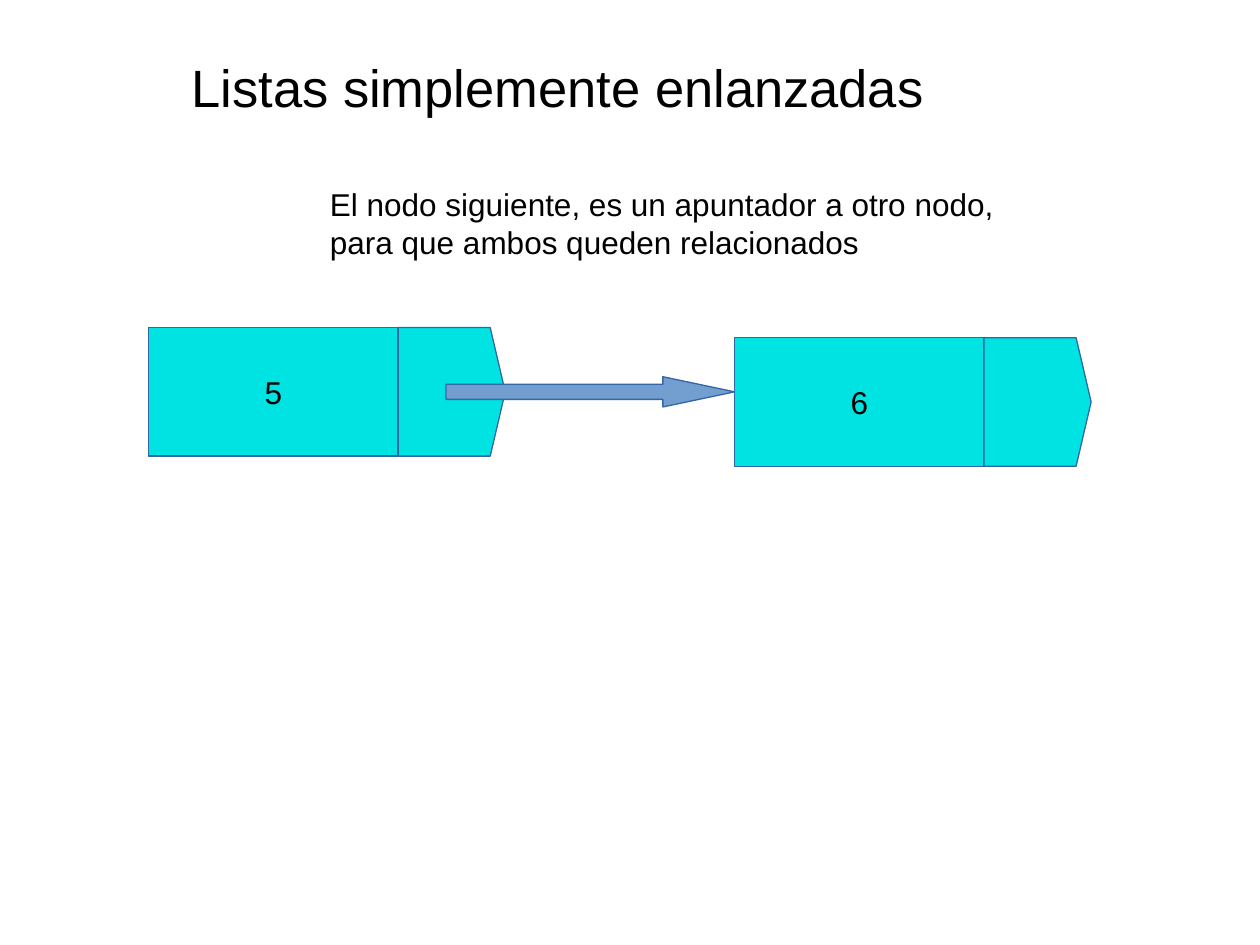
from pptx import Presentation
from pptx.dml.color import RGBColor
from pptx.enum.shapes import MSO_SHAPE
from pptx.enum.text import MSO_ANCHOR, MSO_AUTO_SIZE, PP_ALIGN
from pptx.util import Inches, Pt

VALUE = MSO_SHAPE.FLOWCHART_PROCESS
NEXT = MSO_SHAPE.PENTAGON
ARROW = MSO_SHAPE.RIGHT_ARROW
TOP, MIDDLE = MSO_ANCHOR.TOP, MSO_ANCHOR.MIDDLE
LEFT, CENTER = PP_ALIGN.LEFT, PP_ALIGN.CENTER
FIXED = MSO_AUTO_SIZE.NONE

CYAN, BLUE, EDGE, BLACK = "00E3E3", "729FCF", "3465A4", "000000"
NODE_W, NODE_H, VALUE_W = 2.83, 1.02, 1.98


def color(code):
    return RGBColor.from_string(code)


def write(shape, text, size, align=LEFT, anchor=TOP, wrap=True):
    frame = shape.text_frame
    frame.auto_size = FIXED
    frame.word_wrap = wrap
    frame.vertical_anchor = anchor
    para = frame.paragraphs[0]
    para.alignment = align
    run = para.add_run()
    run.text = text
    run.font.name = "Arial"
    run.font.size = Pt(size)
    run.font.color.rgb = color(BLACK)


def draw(shapes, kind, box, fill):
    shape = shapes.add_shape(kind, *map(Inches, box))
    shape.shadow.inherit = False
    shape.fill.solid()
    shape.fill.fore_color.rgb = color(fill)
    shape.line.color.rgb = color(EDGE)
    shape.line.width = Pt(0.75)
    return shape


def add_title(slide, text, box):
    title = slide.shapes.title
    title.left, title.top, title.width, title.height = map(Inches, box)
    write(title, text, 30)


def add_note(slide, text, box):
    write(slide.shapes.add_textbox(*map(Inches, box)), text, 18)


def add_node(slide, text, left, top):
    """Group a value cell with the pointed cell that links onward."""
    group = slide.shapes.add_group_shape()
    cell = draw(group.shapes, VALUE, (left, top, VALUE_W, NODE_H), CYAN)
    write(cell, text, 18, CENTER, MIDDLE, wrap=False)
    link = draw(group.shapes, NEXT,
                (left + VALUE_W, top, NODE_W - VALUE_W, NODE_H), CYAN)
    link.adjustments[0] = 0.14


def add_arrow(slide, box):
    arrow = draw(slide.shapes, ARROW, box, BLUE)
    arrow.adjustments[0] = 0.5
    arrow.adjustments[1] = 2.37


def main():
    deck = Presentation()
    deck.slide_width, deck.slide_height = Inches(10), Inches(7.5)
    slide = deck.slides.add_slide(deck.slide_layouts[5])
    add_title(slide, "Listas simplemente enlanzadas", (1.42, 0.39, 6.22, 0.88))
    add_node(slide, "5", 1.18, 2.6)
    add_node(slide, "6", 5.83, 2.68)
    add_arrow(slide, (3.54, 2.99, 2.29, 0.24))
    add_note(slide, "El nodo siguiente, es un apuntador a otro nodo, "
             "para que ambos queden relacionados", (2.52, 1.42, 5.51, 1.04))
    deck.save("out.pptx")


if __name__ == "__main__":
    main()
